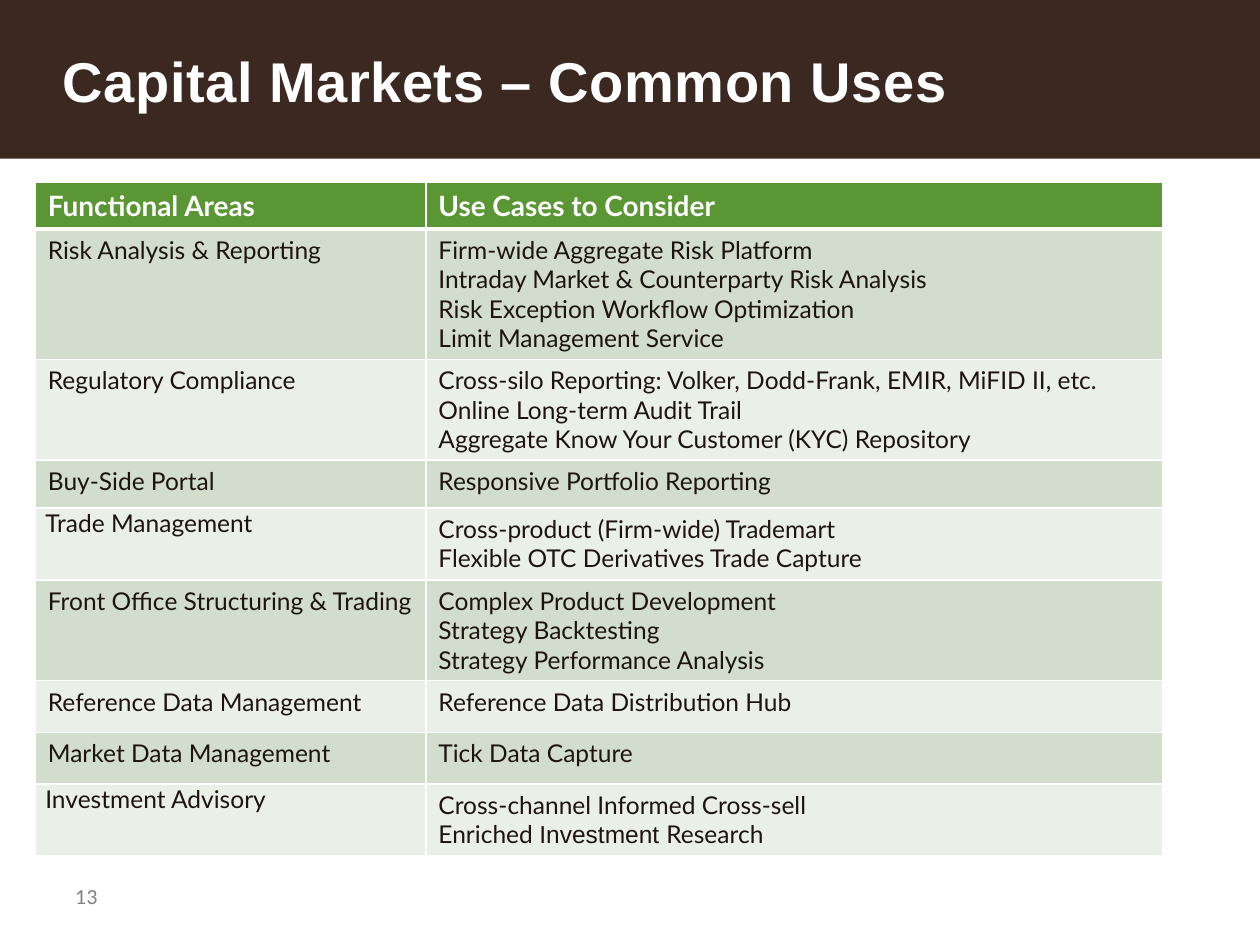
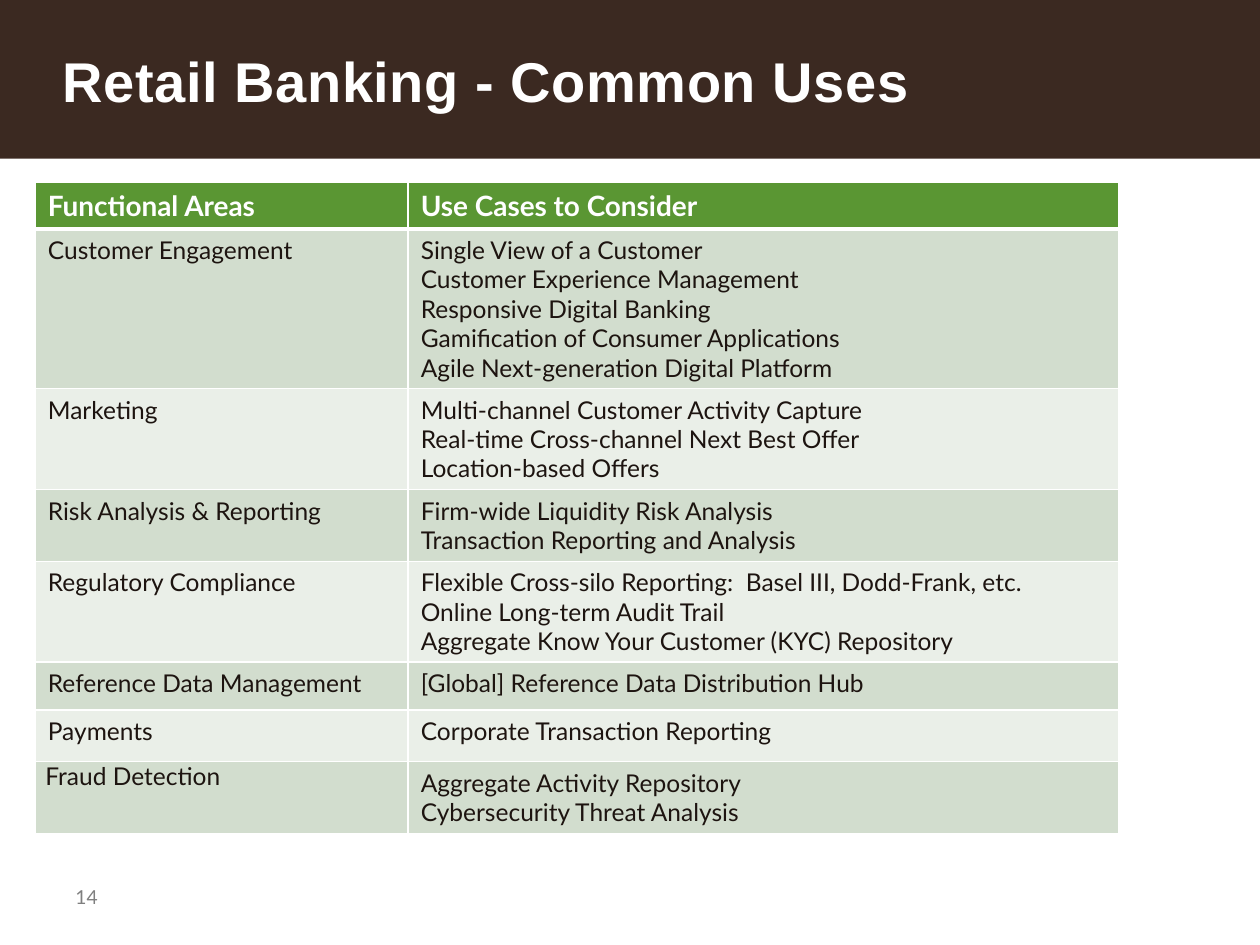
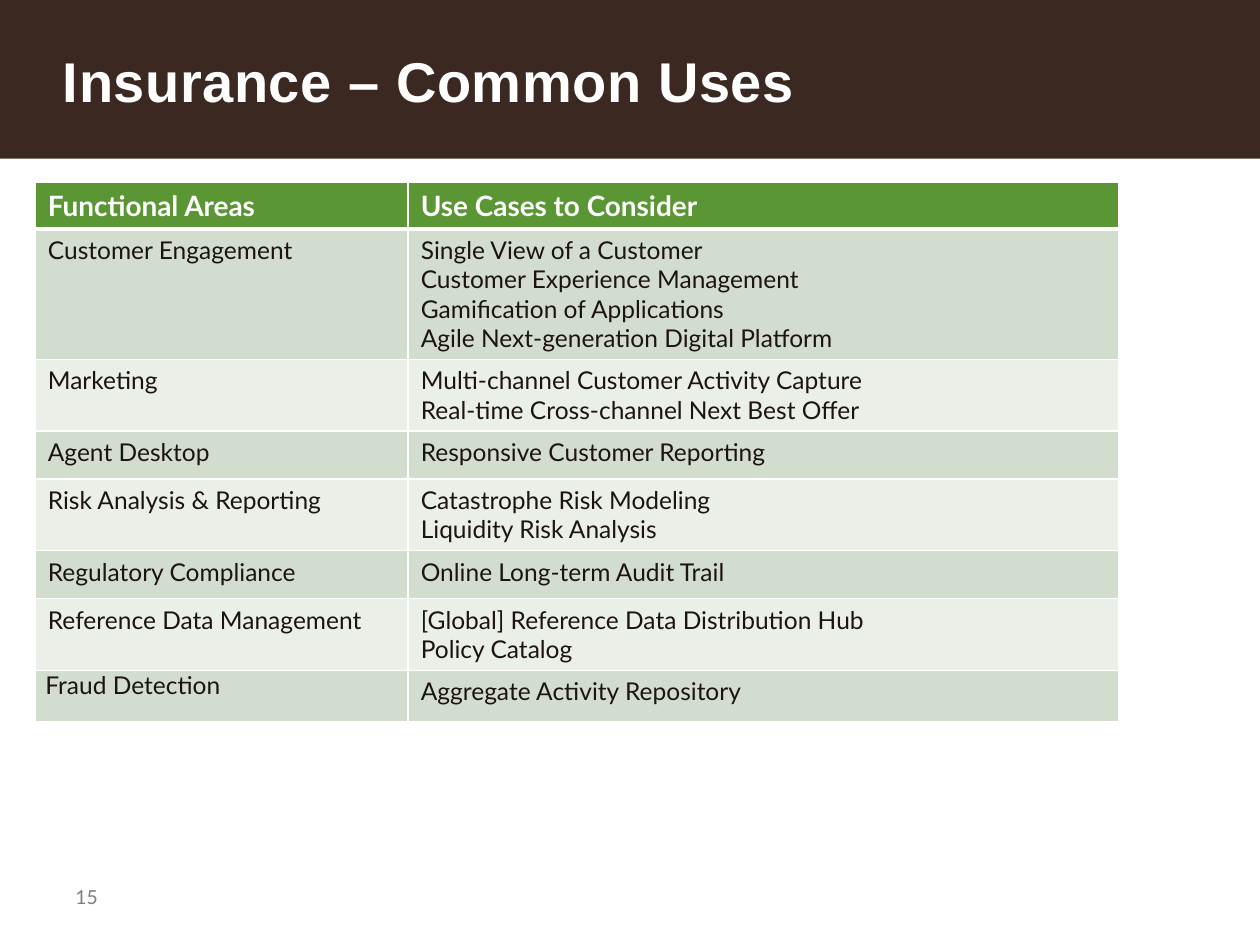
"""Build three industry slides, each listing common use cases by functional area."""
from dataclasses import dataclass

from lxml import etree
from pptx import Presentation
from pptx.dml.color import RGBColor
from pptx.enum.shapes import MSO_SHAPE
from pptx.enum.text import MSO_ANCHOR
from pptx.oxml.ns import qn
from pptx.util import Inches, Pt

RECT = MSO_SHAPE.RECTANGLE
TOP, MIDDLE = MSO_ANCHOR.TOP, MSO_ANCHOR.MIDDLE


@dataclass(frozen=True)
class Theme:
    band: str = "3B2921"
    header: str = "5A9633"
    stripes: tuple = ("D2DDCE", "EAEFE8")
    white: str = "FFFFFF"
    ink: str = "1D1410"
    muted: str = "7F7F7F"
    title_font: str = "Arial"
    body_font: str = "Lato"
    title_size: int = 32
    header_size: int = 16
    body_size: int = 14
    number_size: int = 11


T = Theme()
WIDTH, HEIGHT = 10, 7.5
BAND_HEIGHT = 1.26
MARGIN = 0.5
TABLE_LEFT, TABLE_TOP = 0.28, 1.45
HEADER_HEIGHT, LINE_HEIGHT, ROW_PADDING = 0.36, 0.23, 0.11
ROW_MIN, ROW_TALL = 0.38, 0.41
INSETS = (0.1, 0.05, 0.1, 0.05)
TIGHT_INSETS = (0.08, 0, 0.08, 0)
FIRST_NUMBER = 13

HEADINGS = ("Functional Areas", ["Use Cases to Consider"])
TIGHT_AREAS = {"Trade Management", "Investment Advisory", "Fraud Detection"}

SLIDES = [
    {
        "title": "Capital Markets – Common Uses",
        "cols": (3.1, 5.85),
        "tall": {"Reference Data Management", "Market Data Management"},
        "rows": [
            ("Risk Analysis & Reporting", [
                "Firm-wide Aggregate Risk Platform",
                "Intraday Market & Counterparty Risk Analysis",
                "Risk Exception Workflow Optimization",
                "Limit Management Service"]),
            ("Regulatory Compliance", [
                "Cross-silo Reporting: Volker, Dodd-Frank, EMIR, MiFID II, etc.",
                "Online Long-term Audit Trail",
                "Aggregate Know Your Customer (KYC) Repository"]),
            ("Buy-Side Portal", ["Responsive Portfolio Reporting"]),
            ("Trade Management", [
                "Cross-product (Firm-wide) Trademart",
                "Flexible OTC Derivatives Trade Capture"]),
            ("Front Office Structuring & Trading", [
                "Complex Product Development",
                "Strategy Backtesting",
                "Strategy Performance Analysis"]),
            ("Reference Data Management", ["Reference Data Distribution Hub"]),
            ("Market Data Management", ["Tick Data Capture"]),
            ("Investment Advisory", [
                "Cross-channel Informed Cross-sell",
                [("Enriched ", T.body_font), ("Investment ", T.title_font),
                 ("Research", T.body_font)]]),
        ],
    },
    {
        "title": "Retail Banking - Common Uses",
        "cols": (2.96, 5.64),
        "tall": {"Payments"},
        "rows": [
            ("Customer Engagement", [
                "Single View of a Customer",
                "Customer Experience Management",
                "Responsive Digital Banking",
                "Gamification of Consumer Applications",
                "Agile Next-generation Digital Platform"]),
            ("Marketing", [
                "Multi-channel Customer Activity Capture",
                "Real-time Cross-channel Next Best Offer",
                "Location-based Offers"]),
            ("Risk Analysis & Reporting", [
                "Firm-wide Liquidity Risk Analysis",
                "Transaction Reporting and Analysis"]),
            ("Regulatory Compliance", [
                "Flexible Cross-silo Reporting:  Basel III, Dodd-Frank, etc.",
                "Online Long-term Audit Trail",
                "Aggregate Know Your Customer (KYC) Repository"]),
            ("Reference Data Management", ["[Global] Reference Data Distribution Hub"]),
            ("Payments", ["Corporate Transaction Reporting"]),
            ("Fraud Detection", [
                "Aggregate Activity Repository",
                "Cybersecurity Threat Analysis"]),
        ],
    },
    {
        "title": "Insurance – Common Uses",
        "cols": (2.96, 5.64),
        "tall": {"Fraud Detection"},
        "rows": [
            ("Customer Engagement", [
                "Single View of a Customer",
                "Customer Experience Management",
                "Gamification of Applications",
                "Agile Next-generation Digital Platform"]),
            ("Marketing", [
                "Multi-channel Customer Activity Capture",
                "Real-time Cross-channel Next Best Offer"]),
            ("Agent Desktop", ["Responsive Customer Reporting"]),
            ("Risk Analysis & Reporting", [
                "Catastrophe Risk Modeling",
                "Liquidity Risk Analysis"]),
            ("Regulatory Compliance", ["Online Long-term Audit Trail"]),
            ("Reference Data Management", [
                "[Global] Reference Data Distribution Hub",
                "Policy Catalog"]),
            ("Fraud Detection", ["Aggregate Activity Repository"]),
        ],
    },
]


def rgb(color):
    return RGBColor.from_string(color)


def write(tf, lines, font=T.body_font, size=T.body_size, color=T.ink, bold=False, spacing=0):
    for i, line in enumerate(lines):
        p = tf.paragraphs[0] if i == 0 else tf.add_paragraph()
        for text, face in [(line, font)] if isinstance(line, str) else line:
            r = p.add_run()
            r.text = text
            r.font.name, r.font.size, r.font.bold = face, Pt(size), bold
            r.font.color.rgb = rgb(color)
            if spacing:
                r.font._element.set("spc", str(int(spacing * 100)))


def set_insets(target, insets):
    (target.margin_left, target.margin_top,
     target.margin_right, target.margin_bottom) = map(Inches, insets)


def add_text(s, text, box, insets=INSETS, anchor=TOP, **style):
    tf = s.shapes.add_textbox(*map(Inches, box)).text_frame
    tf.word_wrap = True
    tf.vertical_anchor = anchor
    set_insets(tf, insets)
    write(tf, [text], **style)


def add_frame(s, title, number):
    sp = s.shapes.add_shape(RECT, 0, 0, Inches(WIDTH), Inches(BAND_HEIGHT))
    sp.shadow.inherit = False
    sp.fill.solid()
    sp.fill.fore_color.rgb = rgb(T.band)
    sp.line.fill.background()
    add_text(s, str(number), (MARGIN, 6.98, 2.34, 0.28), size=T.number_size, color=T.muted)
    add_text(s, title, (MARGIN, 0.01, WIDTH - 2 * MARGIN, BAND_HEIGHT - 0.01),
             insets=(0, 0, 0, 0), anchor=MIDDLE, font=T.title_font, size=T.title_size,
             color=T.white, bold=True, spacing=0.3)


def set_borders(cell, top, bottom):
    tc_pr = cell._tc.get_or_add_tcPr()
    for side, width in (("L", 1), ("R", 1), ("T", top), ("B", bottom)):
        ln = etree.SubElement(tc_pr, qn(f"a:ln{side}"), w=str(Pt(width)))
        fill = etree.SubElement(ln, qn("a:solidFill"))
        etree.SubElement(fill, qn("a:srgbClr"), val=T.white)


def fill_cell(cell, lines, row, insets):
    set_borders(cell, top=3 if row == 1 else 1, bottom=3 if row == 0 else 1)
    cell.fill.solid()
    cell.fill.fore_color.rgb = rgb(T.stripes[(row - 1) % 2] if row else T.header)
    set_insets(cell, insets)
    style = {} if row else {"size": T.header_size, "color": T.white, "bold": True}
    write(cell.text_frame, lines, **style)


def add_use_cases(s, cols, rows, tall):
    heights = [HEADER_HEIGHT] + [
        max(ROW_TALL if area in tall else ROW_MIN, ROW_PADDING + LINE_HEIGHT * len(cases))
        for area, cases in rows]
    box = (TABLE_LEFT, TABLE_TOP, sum(cols), sum(heights))
    table = s.shapes.add_table(len(heights), len(cols), *map(Inches, box)).table
    table.horz_banding = False
    for column, width in zip(table.columns, cols):
        column.width = Inches(width)
    for i, (area, cases) in enumerate([HEADINGS] + rows):
        table.rows[i].height = Inches(heights[i])
        fill_cell(table.cell(i, 0), [area], i, TIGHT_INSETS if area in TIGHT_AREAS else INSETS)
        fill_cell(table.cell(i, 1), cases, i, INSETS)


def main():
    prs = Presentation()
    prs.slide_width, prs.slide_height = Inches(WIDTH), Inches(HEIGHT)
    for number, content in enumerate(SLIDES, FIRST_NUMBER):
        s = prs.slides.add_slide(prs.slide_layouts[6])
        add_frame(s, content["title"], number)
        add_use_cases(s, content["cols"], content["rows"], content["tall"])
    prs.save("out.pptx")


if __name__ == "__main__":
    main()
